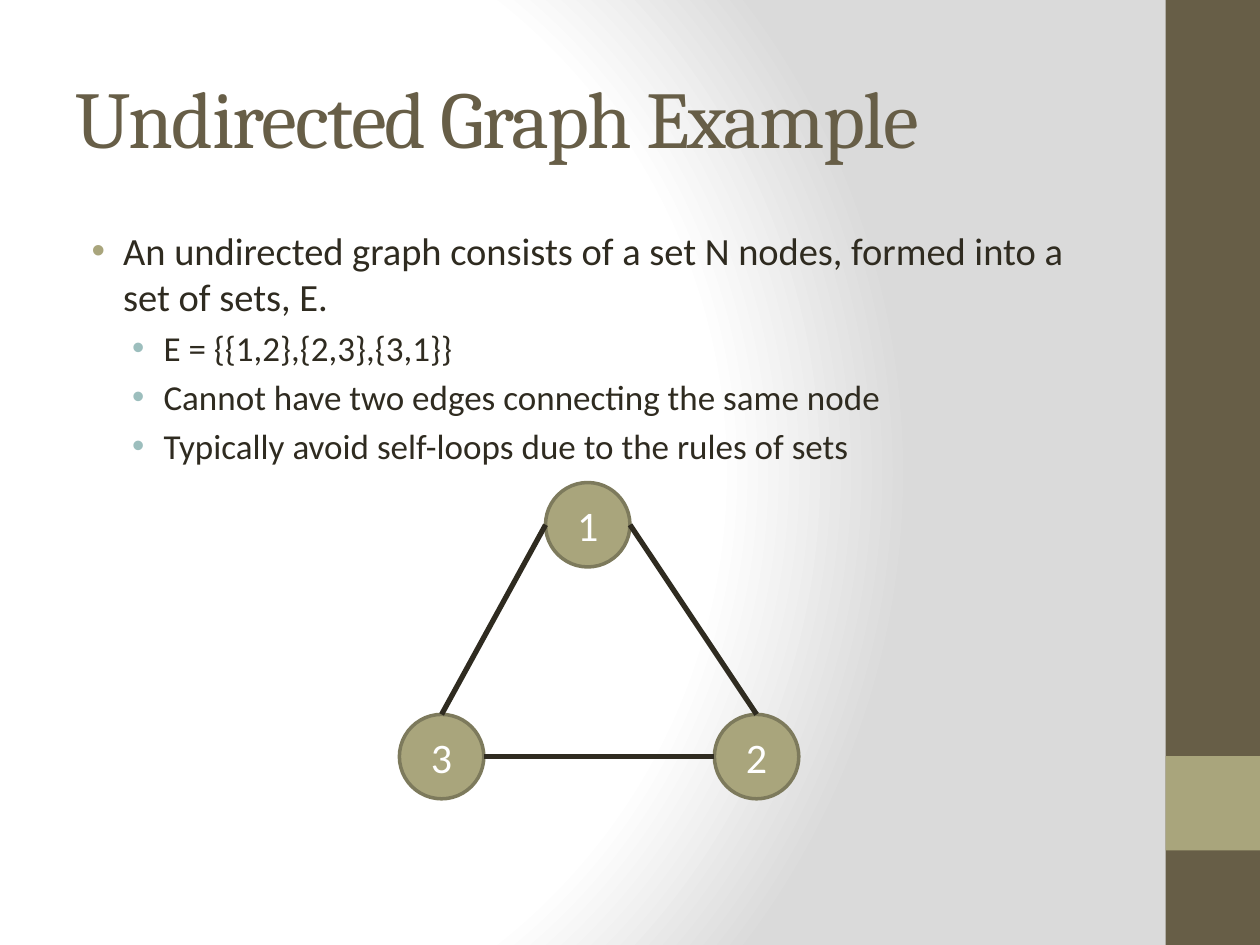
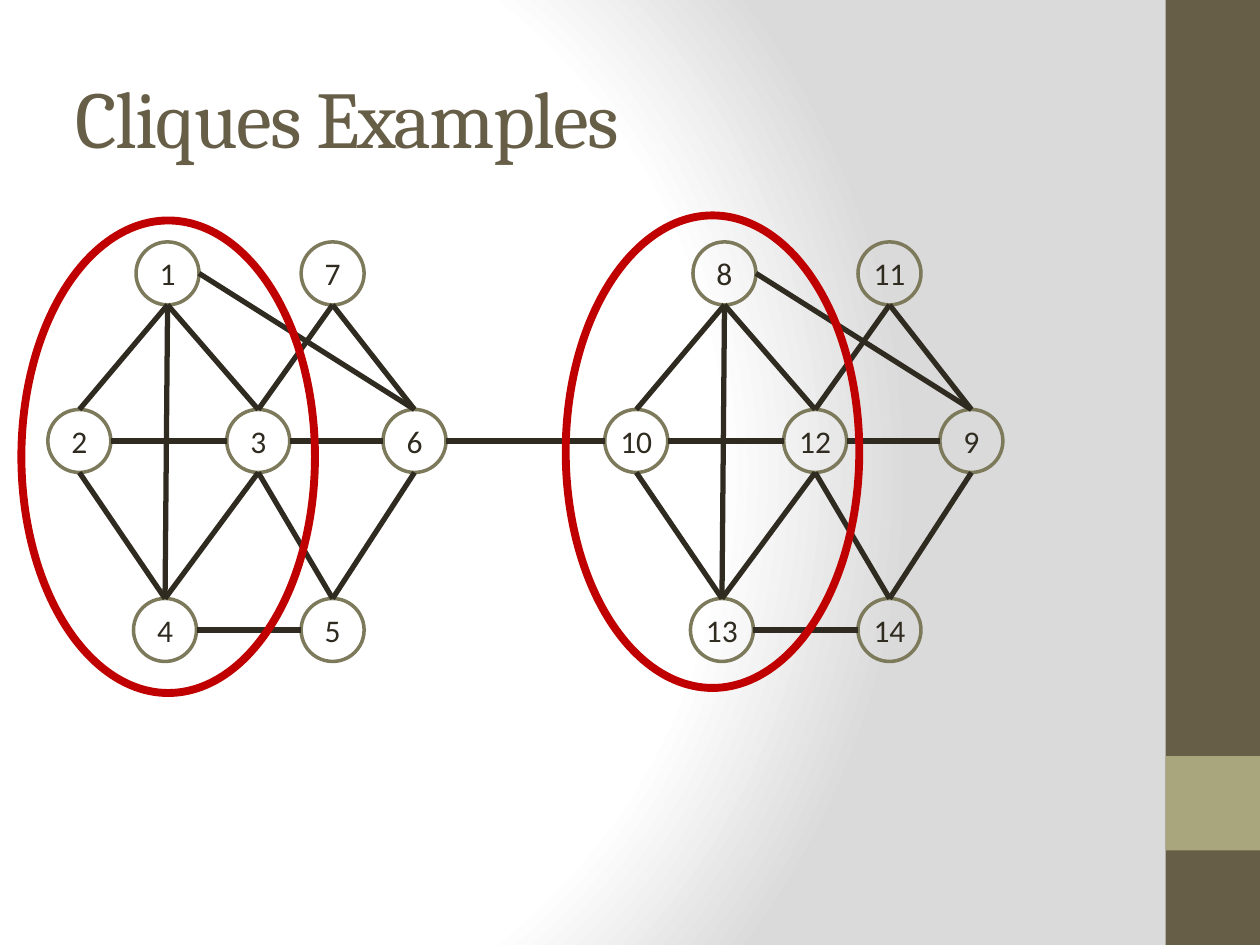
from dataclasses import dataclass
from typing import NamedTuple, Optional

from lxml import etree
from pptx import Presentation
from pptx.dml.color import RGBColor
from pptx.enum.shapes import MSO_CONNECTOR, MSO_SHAPE
from pptx.enum.text import MSO_ANCHOR, PP_ALIGN
from pptx.oxml import parse_xml
from pptx.oxml.ns import nsdecls, qn
from pptx.util import Inches, Pt

# Shared colours and fonts
BROWN, OLIVE, RIM = "675E47", "A9A57C", "7D7A5C"
INK, TEAL, RED, WHITE, GREY = "2F2B20", "9CBEBD", "C00000", "FFFFFF", "DADADA"
HEAD, BODY = "Cambria", "Calibri"


class Node(NamedTuple):
    name: str
    left: float
    top: float


class Edge(NamedTuple):
    start: str
    out: str
    end: str
    into: str


class Level(NamedTuple):
    size: int
    margin: float
    bullet: str


@dataclass(frozen=True)
class Look:
    width: float
    size: int
    ink: str
    fill: Optional[str] = None
    pad: Optional[float] = None


# Share of a node's width and height at which an edge meets each side
SIDES = {"top": (0.5, 0), "left": (0, 0.5), "bottom": (0.5, 1), "right": (1, 0.5)}
LEVELS = [Level(22, 0.38, OLIVE), Level(20, 0.7, TEAL)]
SOLID = Look(0.67, 24, WHITE, OLIVE)
HOLLOW = Look(0.5, 18, INK, pad=0)

POINTS = [
    (0, "An undirected graph consists of a set N nodes, formed into a set of sets, E."),
    (1, "E = {{1,2},{2,3},{3,1}}"),
    (1, "Cannot have two edges connecting the same node"),
    (1, "Typically avoid self-loops due to the rules of sets"),
]
CYCLE = [Node("1", 4.33, 3.83), Node("2", 5.67, 5.67), Node("3", 3.17, 5.67)]
LOOP = [
    Edge("1", "right", "2", "top"),
    Edge("2", "left", "3", "right"),
    Edge("1", "left", "3", "top"),
]

# One cluster; the second repeats it with new names, moved right by SHIFT
GROUP = [
    Node("1", 1.08, 1.92), Node("2", 0.38, 3.25), Node("3", 1.8, 3.25),
    Node("4", 1.06, 4.75), Node("5", 2.39, 4.75), Node("6", 3.04, 3.25),
    Node("7", 2.39, 1.92),
]
LINKS = [
    Edge("1", "bottom", "2", "top"), Edge("1", "bottom", "3", "top"),
    Edge("3", "left", "2", "right"), Edge("4", "top", "2", "bottom"),
    Edge("4", "top", "3", "bottom"), Edge("1", "bottom", "4", "top"),
    Edge("6", "left", "3", "right"), Edge("6", "top", "7", "bottom"),
    Edge("7", "bottom", "3", "top"), Edge("6", "bottom", "5", "top"),
    Edge("5", "left", "4", "right"), Edge("5", "top", "3", "bottom"),
    Edge("6", "top", "1", "right"),
]
TWIN = dict(zip("1234567", ("8", "10", "12", "13", "14", "9", "11")))
SHIFT = 4.42
RINGS = [(0.17, 1.75), (4.49, 1.71)]


def shade(code: str) -> RGBColor:
    return RGBColor.from_string(code)


def style(run, face: str, size: int, ink: str) -> None:
    run.font.name, run.font.size = face, Pt(size)
    run.font.color.rgb = shade(ink)


def add_back(master) -> None:
    """Give every slide the radial gradient."""
    master.background.fill.solid()
    solid = master.element.find(".//" + qn("p:bgPr")).find(qn("a:solidFill"))
    stops = "".join(
        f'<a:gs pos="{at * 1000}"><a:srgbClr val="{code}"/></a:gs>'
        for at, code in ((0, WHITE), (75, WHITE), (100, GREY)))
    solid.getparent().replace(solid, parse_xml(
        f'<a:gradFill rotWithShape="1" {nsdecls("a")}><a:gsLst>{stops}</a:gsLst>'
        '<a:path path="circle"><a:fillToRect l="20000" t="50000" r="100000"'
        ' b="50000"/></a:path></a:gradFill>'))


def add_form(slide, kind, box, fill: Optional[str] = None,
             line: Optional[str] = None, weight: float = 2):
    form = slide.shapes.add_shape(kind, *map(Inches, box))
    form.shadow.inherit = False
    if fill:
        form.fill.solid()
        form.fill.fore_color.rgb = shade(fill)
    else:
        form.fill.background()
    if line:
        form.line.color.rgb, form.line.width = shade(line), Pt(weight)
    else:
        form.line.fill.background()
    return form


def add_text(slide, box, anchor):
    frame = slide.shapes.add_textbox(*map(Inches, box)).text_frame
    frame.word_wrap, frame.vertical_anchor = True, anchor
    return frame


def add_page(deck, title: str):
    """Start a slide with the side band and the title."""
    slide = deck.slides.add_slide(deck.slide_layouts[6])
    for top, height, fill in ((0, 7.5, BROWN), (6, 0.75, OLIVE)):
        add_form(slide, MSO_SHAPE.RECTANGLE, (9.25, top, 0.75, height), fill)
    frame = add_text(slide, (0.5, 0.3, 8.33, 1.25), MSO_ANCHOR.MIDDLE)
    frame.text = title
    run = frame.paragraphs[0].runs[0]
    style(run, HEAD, 46, BROWN)
    run.font._element.set("spc", "-100")
    return slide


def add_list(slide, points) -> None:
    frame = add_text(slide, (0.5, 1.75, 8.33, 5.25), MSO_ANCHOR.TOP)
    frame.text = "\n".join(text for _, text in points)
    for i, (para, (depth, _)) in enumerate(zip(frame.paragraphs, points)):
        level = LEVELS[depth]
        para.level = depth
        props = para._p.get_or_add_pPr()
        props.set("marL", str(Inches(level.margin)))
        props.set("indent", str(Inches(-0.25)))
        tint = etree.SubElement(props, qn("a:buClr"))
        etree.SubElement(tint, qn("a:srgbClr"), val=level.bullet)
        etree.SubElement(props, qn("a:buFont"), typeface="Arial")
        etree.SubElement(props, qn("a:buChar"), char="•")
        if i:
            para.space_before = Pt(level.size * 0.2)
        style(para.runs[0], BODY, level.size, INK)


def add_node(slide, node: Node, look: Look) -> None:
    box = (node.left, node.top, look.width, look.width)
    form = add_form(slide, MSO_SHAPE.OVAL, box, look.fill, RIM)
    frame = form.text_frame
    frame.text, frame.vertical_anchor = node.name, MSO_ANCHOR.MIDDLE
    if look.pad is not None:
        frame.margin_left = frame.margin_right = Inches(look.pad)
        frame.margin_top = frame.margin_bottom = Inches(look.pad)
    para = frame.paragraphs[0]
    para.alignment = PP_ALIGN.CENTER
    style(para.runs[0], BODY, look.size, look.ink)


def add_edge(slide, edge: Edge, nodes: dict[str, Node], width: float) -> None:
    ends = []
    for name, side in ((edge.start, edge.out), (edge.end, edge.into)):
        across, down = SIDES[side]
        ends += [nodes[name].left + across * width, nodes[name].top + down * width]
    line = slide.shapes.add_connector(MSO_CONNECTOR.STRAIGHT, *map(Inches, ends))
    line.line.color.rgb, line.line.width = shade(INK), Pt(3)
    etree.SubElement(line._element.spPr, qn("a:effectLst"))


def add_graph(slide, nodes: list[Node], edges: list[Edge], look: Look) -> None:
    for node in nodes:
        add_node(slide, node, look)
    table = {node.name: node for node in nodes}
    for edge in edges:
        add_edge(slide, edge, table, look.width)


def main() -> None:
    deck = Presentation()
    deck.slide_width, deck.slide_height = Inches(10), Inches(7.5)
    add_back(deck.slide_master)

    # Undirected graph
    slide = add_page(deck, "Undirected Graph Example")
    add_list(slide, POINTS)
    add_graph(slide, CYCLE, LOOP, SOLID)

    # Two joined clusters, each with a ringed clique
    slide = add_page(deck, "Cliques Examples")
    twins = [Node(TWIN[n.name], n.left + SHIFT, n.top) for n in GROUP]
    links = [Edge(TWIN[e.start], e.out, TWIN[e.end], e.into) for e in LINKS]
    bridge = Edge("6", "right", "10", "left")
    add_graph(slide, GROUP + twins, LINKS + links + [bridge], HOLLOW)
    for left, top in RINGS:
        add_form(slide, MSO_SHAPE.OVAL, (left, top, 2.33, 3.75), None, RED, 4.5)

    deck.save("out.pptx")


if __name__ == "__main__":
    main()
